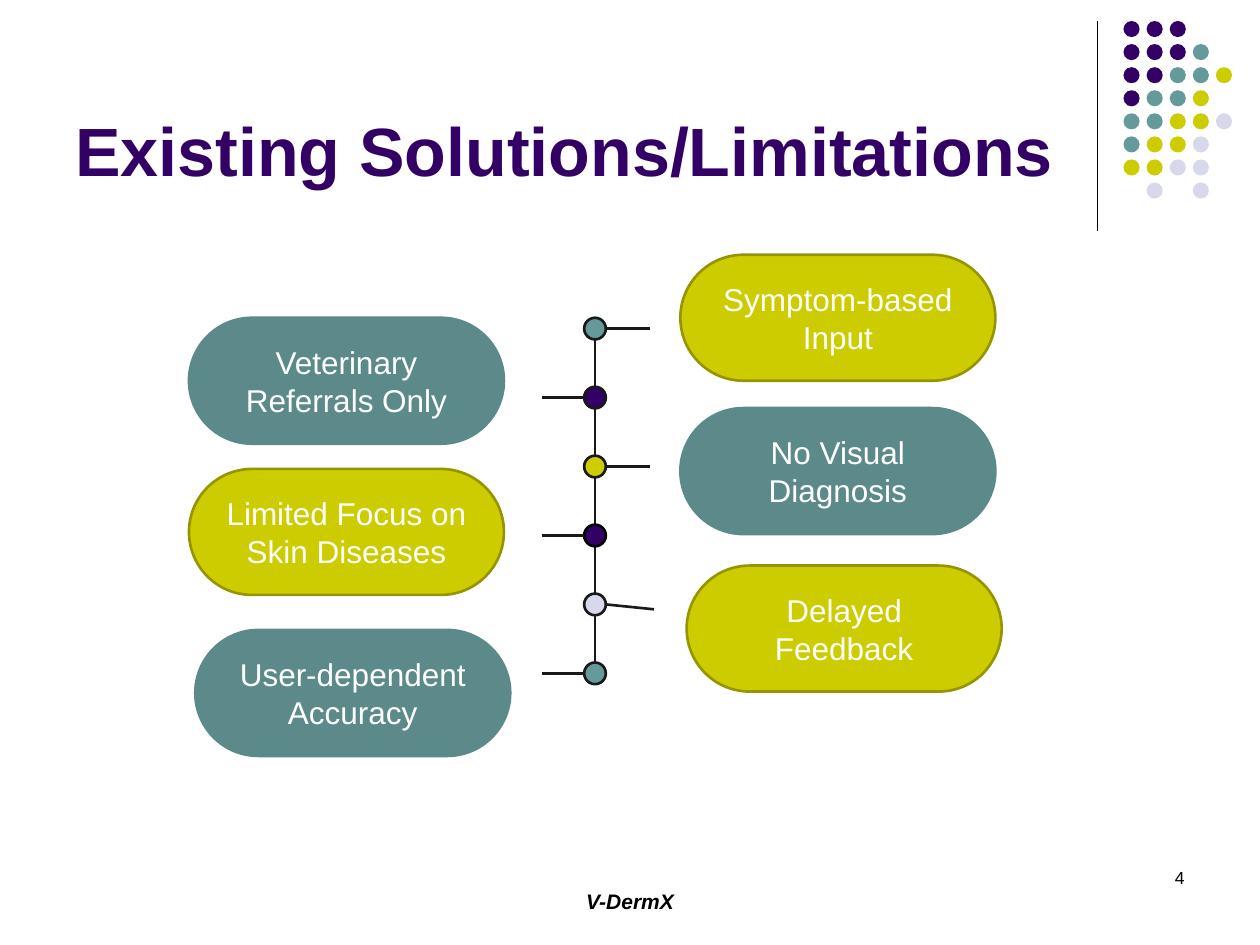
from pptx import Presentation
from pptx.dml.color import RGBColor
from pptx.enum import shapes, text
from pptx.oxml import ns
from pptx.util import Pt
from lxml import etree

PURPLE = RGBColor(0x33, 0x00, 0x66)
TEAL = RGBColor(0x66, 0x99, 0x99)
DEEP_TEAL = RGBColor(0x5C, 0x8A, 0x8A)
LIME = RGBColor(0xCC, 0xCC, 0x00)
OLIVE = RGBColor(0x95, 0x95, 0x00)
LAVENDER = RGBColor(0xD8, 0xD8, 0xEC)
CHARCOAL = RGBColor(0x19, 0x19, 0x19)
BLACK = RGBColor(0x00, 0x00, 0x00)
WHITE = RGBColor(0xFF, 0xFF, 0xFF)

DOT_COLORS = {"P": PURPLE, "T": TEAL, "L": LIME, "V": LAVENDER}
DOT_ROWS = ["PPP", "PPPT", "PPTTL", "PTTL", "TTLLV", "TLLV", "LLVV", " V V"]
PILL_SIZE = (180, 72)
PILLS = [
    ("User-dependent Accuracy", 111.6, 360, DEEP_TEAL, DEEP_TEAL),
    ("Limited Focus on Skin Diseases", 108, 268, LIME, OLIVE),
    ("Veterinary Referrals Only", 108, 181.6, DEEP_TEAL, DEEP_TEAL),
    ("Delayed Feedback", 392.4, 323.2, LIME, OLIVE),
    ("No Visual Diagnosis", 388.8, 233.2, DEEP_TEAL, DEEP_TEAL),
    ("Symptom-based Input", 388.8, 145.6, LIME, OLIVE),
]
NODES = [
    (TEAL, CHARCOAL, 371.3, 0),
    (PURPLE, CHARCOAL, 309.6, 0),
    (LIME, CHARCOAL, 371.3, 0),
    (PURPLE, BLACK, 309.6, 0),
    (LAVENDER, CHARCOAL, 373.7, 2.8),
    (TEAL, CHARCOAL, 309.6, 0),
]


def write_text(shape, wording, alignment, anchor, font_values):
    frame = shape.text_frame
    frame.word_wrap = True
    frame.vertical_anchor = anchor
    paragraph = frame.paragraphs[0]
    paragraph.alignment = alignment
    run = paragraph.add_run()
    run.text = wording
    values = dict(font_values)
    run.font.color.rgb = values.pop("color")
    for name, value in {"name": "Arial", **values}.items():
        setattr(run.font, name, value)


def add_label(slide, box, wording, alignment, anchor, font_values):
    label = slide.shapes.add_textbox(*map(Pt, box))
    write_text(label, wording, alignment, anchor, font_values)


def add_line(slide, start, end, color, width):
    line = slide.shapes.add_connector(
        shapes.MSO_CONNECTOR.STRAIGHT, *map(Pt, (*start, *end)))
    line.line.color.rgb = color
    line.line.width = Pt(width)
    properties = line._element.spPr
    etree.SubElement(properties, ns.qn("a:effectLst"))


def add_filled(slide, kind, box, fill, outline=None):
    shape = slide.shapes.add_shape(kind, *map(Pt, box))
    shape.shadow.inherit = False
    shape.fill.solid()
    shape.fill.fore_color.rgb = fill
    if outline is None:
        shape.line.fill.background()
    else:
        shape.line.color.rgb = outline
        shape.line.width = Pt(1.5)
    return shape


def add_corner_dots(slide, box):
    left, top, width, height = box
    diameter = 9.2
    column_step = (width - diameter) / 4
    row_step = (height - diameter) / (len(DOT_ROWS) - 1)
    for row, codes in enumerate(DOT_ROWS):
        for column, code in enumerate(codes):
            if code in DOT_COLORS:
                dot_box = (left + column * column_step, top + row * row_step,
                           diameter, diameter)
                add_filled(slide, shapes.MSO_SHAPE.OVAL, dot_box, DOT_COLORS[code])


def add_pill(slide, box, wording, fill, outline):
    pill = add_filled(slide, shapes.MSO_SHAPE.ROUNDED_RECTANGLE, box, fill, outline)
    pill.adjustments[0] = 0.5
    write_text(pill, wording, text.PP_ALIGN.CENTER, text.MSO_ANCHOR.MIDDLE,
               {"size": Pt(18), "color": WHITE})


def add_timeline(slide, box):
    left, top, diameter, height = box
    step = (height - diameter) / (len(NODES) - 1)
    center = left + diameter / 2
    for index, (fill, outline, branch_end, drop) in enumerate(NODES):
        node_top = top + index * step
        middle = node_top + diameter / 2
        if index < len(NODES) - 1:
            add_line(slide, (center, node_top + step),
                     (center, node_top + diameter), CHARCOAL, 1.5)
        add_filled(slide, shapes.MSO_SHAPE.OVAL,
                   (left, node_top, diameter, diameter), fill, outline)
        edge = left + diameter if branch_end > center else left
        start, end = sorted([(edge, middle), (branch_end, middle + drop)])
        add_line(slide, start, end, CHARCOAL, 1.5)


def build_slide(presentation):
    slide = presentation.slides.add_slide(presentation.slide_layouts[6])
    add_line(slide, (627, 12), (627, 132), BLACK, 0.75)
    add_corner_dots(slide, (642, 12, 62, 101.5))
    add_label(slide, (228, 504, 264, 24), "V-DermX",
              text.PP_ALIGN.CENTER, text.MSO_ANCHOR.TOP,
              {"size": Pt(12), "color": BLACK, "bold": True, "italic": True})
    add_label(slide, (516, 492, 168, 36), "4",
              text.PP_ALIGN.RIGHT, text.MSO_ANCHOR.TOP,
              {"size": Pt(10), "color": BLACK})
    add_label(slide, (36, 10, 594, 102), "Existing Solutions/Limitations",
              text.PP_ALIGN.LEFT, text.MSO_ANCHOR.BOTTOM,
              {"size": Pt(39), "color": PURPLE, "bold": True})
    for wording, left, top, fill, outline in PILLS:
        add_pill(slide, (left, top, *PILL_SIZE), wording, fill, outline)
    add_timeline(slide, (333.8, 181.6, 12.4, 209.4))


def main():
    presentation = Presentation()
    presentation.slide_width = Pt(720)
    presentation.slide_height = Pt(540)
    build_slide(presentation)
    presentation.save("out.pptx")


if __name__ == "__main__":
    main()
